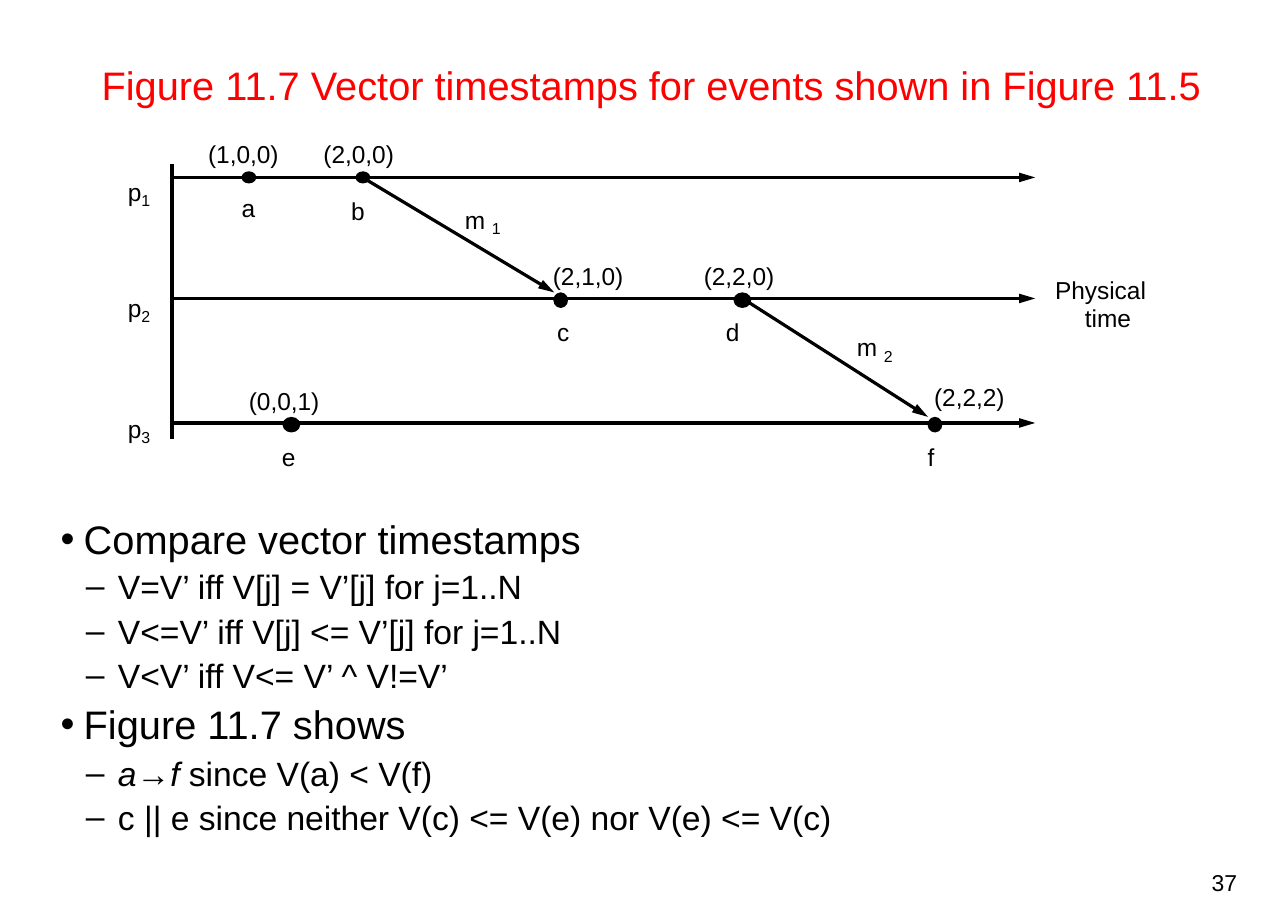
from lxml import etree
from pptx import Presentation
from pptx import util as u
from pptx.dml.color import RGBColor
from pptx.enum import shapes, text
from pptx.oxml.ns import qn

BLACK, RED = "000000", "FF0000"
AXIS_X, ARROW_X = 3.96, 23.87
ROWS = [4.09, 6.88, 9.75]


def rgb(value):
    return RGBColor.from_string(value)


def assign(target, values):
    for name, value in values.items():
        setattr(target, name, value)


class Slide:
    font = {"name": "Arial", "size": u.Pt(16)}
    margins = dict.fromkeys(
        ("margin_left", "margin_top", "margin_right", "margin_bottom"), 0)

    def __init__(self, prs):
        self.s = prs.slides.add_slide(prs.slide_layouts[1])

    def frame(self, sp, **fmt):
        tf = sp.text_frame
        assign(tf, {**self.margins, "word_wrap": True,
                    "auto_size": text.MSO_AUTO_SIZE.NONE,
                    "vertical_anchor": text.MSO_ANCHOR.TOP, **fmt})
        return tf

    def place(self, sp, x, y, w, h):
        assign(sp, {"left": u.Cm(x), "top": u.Cm(y),
                    "width": u.Cm(w), "height": u.Cm(h)})

    def run(self, p, words, color=BLACK, **fmt):
        r = p.add_run()
        r.text = words
        assign(r.font, {**self.font, **fmt})
        r.font.color.rgb = rgb(color)
        return r

    def indent(self, p, left, first):
        pPr = p._p.get_or_add_pPr()
        pPr.set("marL", str(u.Cm(left)))
        pPr.set("indent", str(u.Cm(first)))
        return pPr

    def title(self, words, box):
        sp = self.s.shapes.title
        self.place(sp, *box)
        p = self.frame(sp, margin_top=u.Cm(0.18)).paragraphs[0]
        assign(p, {"alignment": text.PP_ALIGN.CENTER,
                   "line_spacing": u.Pt(31.5)})
        self.indent(p, 0.36, 0)
        self.run(p, words, RED, size=u.Pt(26))

    def bullets(self, items, box):
        sp = self.s.placeholders[1]
        self.place(sp, *box)
        tf = self.frame(sp)
        for i, (level, before, parts) in enumerate(items):
            p = tf.add_paragraph() if i else tf.paragraphs[0]
            assign(p, {"level": level, "space_before": u.Pt(before)})
            left, first, mark, size = [(0.56, -0.53, "•", 26),
                                       (1.35, -0.74, "–", 22)][level]
            pPr = self.indent(p, left, first)
            etree.SubElement(pPr, qn("a:buChar")).set("char", mark)
            for words, italic in parts:
                self.run(p, words, size=u.Pt(size), italic=italic)

    def label(self, words, x, y, w=1.9, h=0.69, sub="", size=16):
        sp = self.s.shapes.add_textbox(0, 0, 0, 0)
        self.place(sp, x, y, w, h)
        p = self.frame(sp).paragraphs[0]
        self.run(p, words, size=u.Pt(size))
        if sub:
            r = self.run(p, sub, size=u.Pt(18))
            r._r.get_or_add_rPr().set("baseline", "-19000")
        return p

    def line(self, x1, y1, x2, y2, width=2.1, arrow=True):
        sp = self.s.shapes.add_connector(
            shapes.MSO_CONNECTOR.STRAIGHT, *map(u.Cm, (x1, y1, x2, y2)))
        sp.line.width = u.Pt(width)
        sp.line.color.rgb = rgb(BLACK)
        if arrow:
            end = etree.SubElement(sp.line._get_or_add_ln(), qn("a:tailEnd"))
            for name, value in {"type": "triangle", "w": "med", "len": "lg"}.items():
                end.set(name, value)
        etree.SubElement(sp._element.spPr, qn("a:effectLst"))

    def dot(self, x, y, w, h):
        sp = self.s.shapes.add_shape(
            shapes.MSO_SHAPE.OVAL,
            *map(u.Cm, (x - w / 2, y - h / 2, w, h)))
        sp.shadow.inherit = False
        sp.fill.solid()
        sp.fill.fore_color.rgb = rgb(BLACK)
        sp.line.color.rgb = rgb(BLACK)
        sp.line.width = u.Pt(2.2)


def main():
    prs = Presentation()
    assign(prs, {"slide_width": u.Cm(29.7), "slide_height": u.Cm(21)})
    s = Slide(prs)

    s.title("Figure 11.7 Vector timestamps for events shown in Figure 11.5",
            (1.5, 1.22, 26.72, 1.32))
    s.bullets([
        (0, 0, [("Compare vector timestamps", False)]),
        (1, 2.4, [("V=V’ iff V[j] = V’[j] for j=1..N", False)]),
        (1, 2.8, [("V<=V’ iff V[j] <= V’[j] for j=1..N", False)]),
        (1, 2.6, [("V<V’ iff V<= V’ ^ V!=V’", False)]),
        (0, 2.8, [("Figure 11.7 shows", False)]),
        (1, 3.3, [("a", True), ("→", False), ("f ", True),
                  ("since V(a) < V(f)", False)]),
        (1, 2.4, [("c || e since neither V(c) <= V(e) nor V(e) <= V(c)", False)]),
    ], (1.37, 11.86, 17.88, 7.42))

    s.line(AXIS_X, 3.78, AXIS_X, 10.11, width=2.4, arrow=False)
    for number, (y, label_y) in enumerate(zip(ROWS, (4.01, 6.68, 9.47)), 1):
        s.line(AXIS_X, y, ARROW_X, y)
        s.label("p", 2.95, label_y, 0.7, 0.84, sub=str(number))

    events = [
        ("a", "(1,0,0)", 5.74, 4.09, 0.26, 0.2, (5.57, 4.45), (4.8, 3.2)),
        ("b", "(2,0,0)", 8.37, 4.09, 0.26, 0.2, (8.1, 4.53), (7.46, 3.2)),
        ("c", "(2,1,0)", 12.93, 6.92, 0.26, 0.28, (12.85, 7.32), (12.75, 6.02)),
        ("d", "(2,2,0)", 17.12, 6.92, 0.33, 0.28, (16.74, 7.32), (16.23, 6.02)),
        ("e", "(0,0,1)", 6.72, 9.79, 0.33, 0.28, (6.5, 10.19), (5.74, 8.89)),
        ("f", "(2,2,2)", 21.56, 9.79, 0.26, 0.28, (21.39, 10.19), (21.54, 8.81)),
    ]
    for name, stamp, x, y, w, h, name_at, stamp_at in events:
        s.dot(x, y, w, h)
        s.label(name, *name_at, w=0.5)
        s.label(stamp, *stamp_at)

    messages = [
        ("1", (8.36, 4.09, 12.78, 6.74), (10.72, 4.65)),
        ("2", (17.25, 6.96, 21.4, 9.61), (19.76, 7.59)),
    ]
    for number, ends, label_at in messages:
        s.line(*ends)
        s.label("m ", *label_at, w=1, h=0.84, sub=number)

    p = s.label("Physical time", 24.31, 6.38, 2.21, 1.3)
    p.line_spacing = u.Pt(18.2)
    s.indent(p, 0.71, -0.69)
    s.label("37", 27.94, 20.02, 0.8, 0.64, size=15)

    prs.save("out.pptx")


if __name__ == "__main__":
    main()
